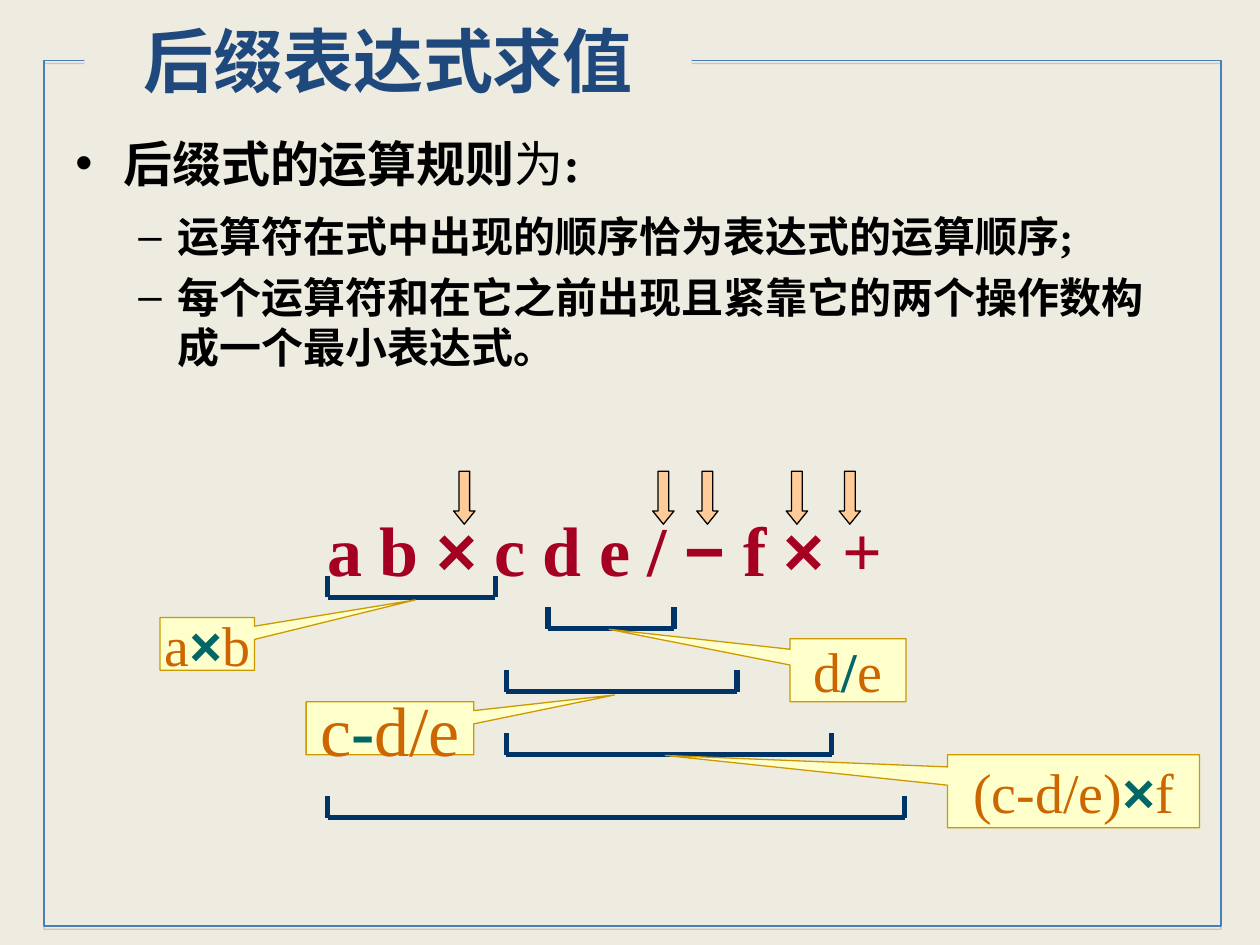
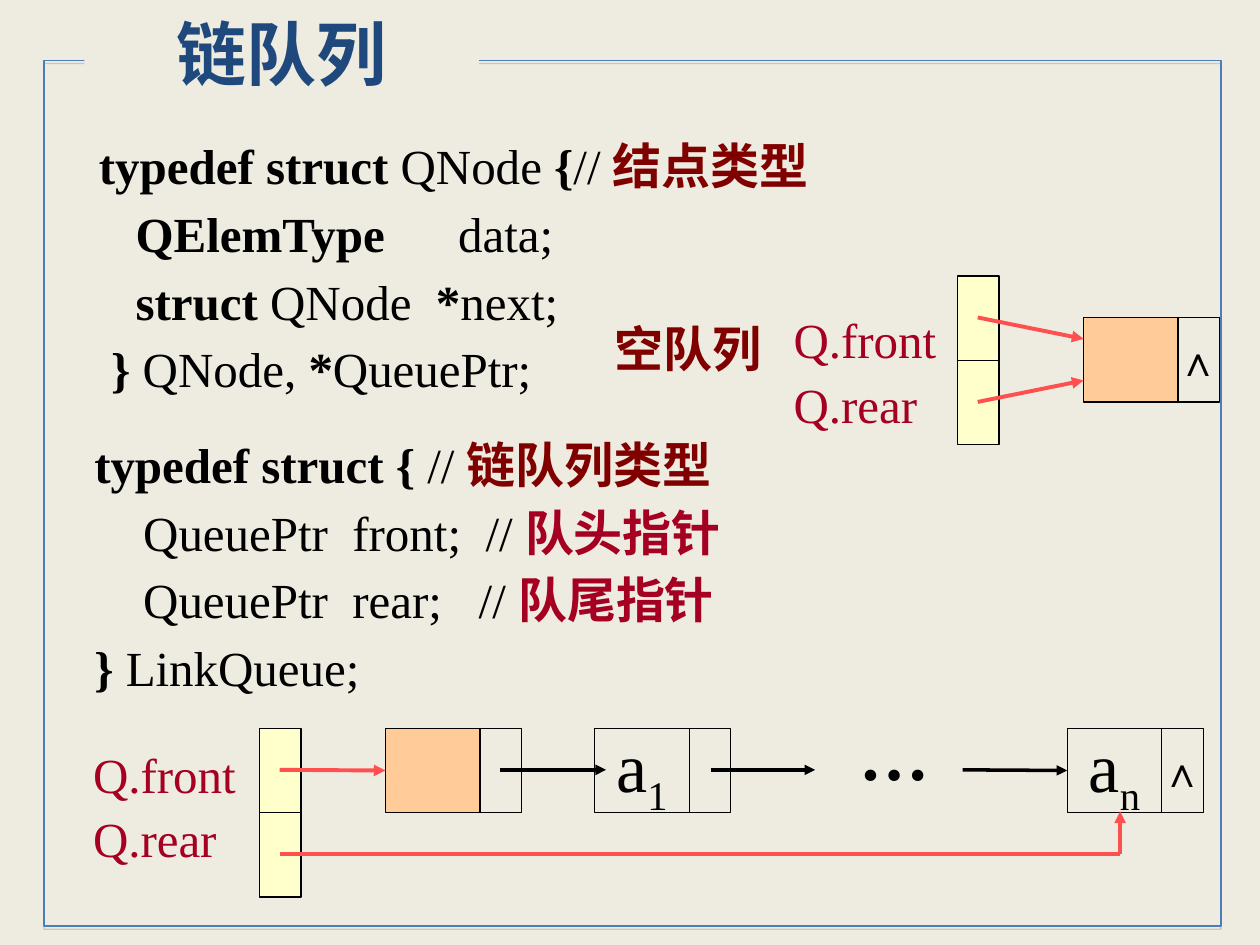
from lxml import etree
from pptx import Presentation
from pptx import util as u
from pptx.dml.color import RGBColor
from pptx.enum import shapes, text
from pptx.oxml import ns

Inches, Pt = u.Inches, u.Pt
SHAPE = shapes.MSO_SHAPE

PAPER = RGBColor(0xEE, 0xEC, 0xE1)
FRAME = RGBColor(0x4A, 0x7E, 0xBB)
TITLE = RGBColor(0x1F, 0x49, 0x7D)
BLACK = RGBColor(0x00, 0x00, 0x00)
CRIMSON = RGBColor(0xA5, 0x00, 0x21)
MAROON = RGBColor(0x80, 0x00, 0x00)
NAVY = RGBColor(0x00, 0x33, 0x66)
CREAM = RGBColor(0xFF, 0xFF, 0xCC)
GOLD = RGBColor(0xCC, 0x99, 0x00)
ORANGE = RGBColor(0xCC, 0x66, 0x00)
TEAL = RGBColor(0x00, 0x66, 0x66)
PEACH = RGBColor(0xFF, 0xCC, 0x99)
RED = RGBColor(0xFF, 0x50, 0x50)

SERIF, SANS, CJK = "Times New Roman", "Arial", "Noto Sans CJK SC"
BOLD = {"bold": True}
SYMBOL = {"name": SANS}
OPERATOR = {"bold": True, "color": TEAL}
TIMES = {**OPERATOR, "name": SANS}
NOTE = {"bold": True, "color": MAROON}
POINTER_NOTE = {"bold": True, "color": CRIMSON}


def add_xml(parent, tag, **attrs):
    return etree.SubElement(parent, ns.qn(tag), **attrs)


class Deck:
    """The presentation, its style and the slide being filled."""

    def __init__(self):
        self.prs = Presentation()
        self.prs.slide_width, self.prs.slide_height = Inches(10), Inches(7.5)
        fill = self.prs.slide_master.background.fill
        fill.solid()
        fill.fore_color.rgb = PAPER

    def slide(self, title, width, height):
        """Start a slide whose title interrupts the frame around it."""
        self.s = self.prs.slides.add_slide(self.prs.slide_layouts[5])
        frame = self.shape(SHAPE.RECTANGLE, 0.35, 0.48, 9.34, 6.87, line=FRAME)
        effects = frame._element.spPr.find(ns.qn("a:effectLst"))
        shadow = add_xml(effects, "a:outerShdw", blurRad="0", dist="22860", dir="5400000")
        color = add_xml(shadow, "a:srgbClr", val="808080")
        add_xml(color, "a:alpha", val="35000")
        self.s.shapes._spTree.insert(2, frame._element)

        sp = self.s.shapes.title
        self.place(sp, 0.67, 0.03, width, height)
        sp.fill.solid()
        sp.fill.fore_color.rgb = PAPER
        sp.text_frame.auto_size = text.MSO_AUTO_SIZE.SHAPE_TO_FIT_TEXT
        self.fill_text(sp.text_frame, [title], 40, TITLE, align=text.PP_ALIGN.CENTER, bold=True)

    @staticmethod
    def place(sp, *box):
        for name, value in zip(("left", "top", "width", "height"), box):
            setattr(sp, name, Inches(value))

    @staticmethod
    def run(p, content, fmt):
        r = p.add_run()
        r.text = content
        for name, value in fmt.items():
            if name == "color":
                r.font.color.rgb = value
            elif name == "baseline":
                r.font._element.set("baseline", value)
            else:
                setattr(r.font, name, value)
        add_xml(r.font._element, "a:ea", typeface=CJK)

    def fill_text(self, tf, paragraphs, size, color, align=None, spacing=None, **fmt):
        """Fill a frame; a paragraph is a string or a list of strings and (string, format)."""
        base = {"size": Pt(size), "color": color, "name": SERIF, **fmt}
        for i, runs in enumerate(paragraphs):
            p = tf.add_paragraph() if i else tf.paragraphs[0]
            p.alignment, p.line_spacing = align, spacing
            for item in [runs] if isinstance(runs, str) else runs:
                content, extra = (item, {}) if isinstance(item, str) else item
                self.run(p, content, {**base, **extra})

    def text(self, x, y, w, h, paragraphs, size, color=BLACK, **fmt):
        tf = self.s.shapes.add_textbox(*map(Inches, (x, y, w, h))).text_frame
        tf.word_wrap = True
        self.fill_text(tf, paragraphs, size, color, **fmt)
        return tf

    def bullet(self, p, mark, level, left, hanging, before):
        p.level = level
        pPr = p._p.get_or_add_pPr()
        pPr.set("marL", str(Inches(left)))
        pPr.set("indent", str(-Inches(hanging)))
        p.space_before = Pt(before)
        add_xml(add_xml(pPr, "a:buClr"), "a:srgbClr", val=str(BLACK))
        add_xml(pPr, "a:buFont", typeface=SANS)
        add_xml(pPr, "a:buChar", char=mark)

    def shape(self, kind, x, y, w, h, fill=None, line=BLACK, adjust=()):
        sp = self.s.shapes.add_shape(kind, *map(Inches, (x, y, w, h)))
        sp.shadow.inherit = False
        if fill is None:
            sp.fill.background()
        else:
            sp.fill.solid()
            sp.fill.fore_color.rgb = fill
        sp.line.color.rgb, sp.line.width = line, Pt(0.75)
        for i, value in enumerate(adjust):
            sp.adjustments[i] = value
        return sp

    def label(self, sp, runs, size, color=BLACK):
        tf = sp.text_frame
        tf.word_wrap = False
        tf.vertical_anchor = text.MSO_ANCHOR.MIDDLE
        self.fill_text(tf, [runs], size, color, align=text.PP_ALIGN.CENTER)

    def line(self, start, end, color, width, arrow=False, target=None):
        """Draw a straight line; a target is joined at the middle of its left side."""
        c = self.s.shapes.add_connector(
            shapes.MSO_CONNECTOR.STRAIGHT, *map(Inches, (*start, *end)))
        c.line.color.rgb, c.line.width = color, Pt(width)
        if arrow:
            add_xml(c._element.spPr.find(ns.qn("a:ln")), "a:tailEnd", type="triangle")
        add_xml(c._element.spPr, "a:effectLst")
        if target is not None:
            c.end_connect(target, 1)

    def bracket(self, left, right, y):
        for start, end in (((left, y), (right, y)),
                           ((left, y - 0.17), (left, y)),
                           ((right, y - 0.17), (right, y))):
            self.line(start, end, NAVY, 3)

    def callout(self, box, tip, runs, size=32):
        sp = self.shape(SHAPE.RECTANGULAR_CALLOUT, *box, fill=CREAM, line=GOLD, adjust=tip)
        self.label(sp, runs, size, ORANGE)

    def queue_pointers(self, x, y):
        """Draw the front cell above the rear cell."""
        for i in range(2):
            self.shape(SHAPE.RECTANGLE, x, y + i * 0.67, 0.33, 0.67, fill=CREAM)

    def node(self, x, y, fill=None, data=None, last=False):
        """Draw a data cell with its next cell; return the data cell."""
        link = self.shape(SHAPE.RECTANGLE, x + 0.75, y, 0.33, 0.67)
        cell = self.shape(SHAPE.RECTANGLE, x, y, 0.75, 0.67, fill=fill)
        if data:
            self.label(cell, ["a", (data, {"baseline": "-25000"})], 40)
        if last:
            self.label(link, "∧", 24)
        return cell


def postfix_slide(deck):
    deck.slide("后缀表达式求值", 4.82, 0.89)
    rules = [
        ["后缀式的运算规则", ("为", {"bold": False}), ":"],
        [("运算符在式中出现的顺序恰为表达式的运算顺序;", {"size": Pt(24)})],
        [("每个运算符和在它之前出现且紧靠它的两个操作数构成一个最小表达式。", {"size": Pt(24)})],
    ]
    tf = deck.text(0.5, 0.94, 9, 2.11, rules, 28, spacing=1.15, bold=True)
    first, *rest = tf.paragraphs
    deck.bullet(first, "•", 0, 0.38, 0.38, 0)
    for p in rest:
        deck.bullet(p, "–", 1, 0.81, 0.31, 6)
    rest[-1].line_spacing = 1.0

    expression = ["a b ", ("×", SYMBOL), " c d e / ", ("−", SYMBOL), " f ", ("×", SYMBOL), " +"]
    deck.text(2.5, 3.97, 5, 0.74, [expression], 40, CRIMSON, bold=True)

    for left, right, y in ((2.6, 3.93, 4.74), (4.35, 5.35, 4.99), (4.02, 5.85, 5.49),
                           (4.02, 6.6, 5.99), (2.6, 7.18, 6.49)):
        deck.bracket(left, right, y)

    deck.callout((1.27, 4.9, 0.75, 0.42), (2.2, -0.83), ["a", ("×", TIMES), "b"])
    deck.callout((6.27, 5.07, 0.92, 0.5), (-2.06, -0.65), ["d", ("/", OPERATOR), "e"])
    deck.callout((2.43, 5.57, 1.33, 0.42), (1.34, -0.63), ["c", ("-", OPERATOR), "d/e"], 40)
    deck.callout((7.52, 5.99, 2, 0.58), (-1.62, -0.49), ["(c-d/e)", ("×", TIMES), "f"])

    for x in (3.6, 5.18, 5.53, 6.24, 6.66):
        deck.shape(SHAPE.DOWN_ARROW, x, 3.74, 0.17, 0.42, fill=PEACH, adjust=(0.5, 0.62))


def linked_queue_slide(deck):
    deck.slide("链队列", 3.13, 0.78)
    node_type = [
        [" ", ("typedef struct ", BOLD), "QNode ", ("{", BOLD), "// ", ("结点类型", NOTE)],
        ["    ", ("QElemType", BOLD), "      data;"],
        ["    ", ("struct ", BOLD), "QNode  ", ("*", BOLD), "next;"],
        ["  ", ("}", BOLD), " QNode, ", ("*", BOLD), "QueuePtr;"],
    ]
    queue_type = [
        [("typedef struct { ", BOLD), "// ", ("链队列类型", NOTE)],
        ["    QueuePtr  front;  // ", ("队头指针", POINTER_NOTE)],
        ["    QueuePtr  rear;   // ", ("队尾指针", POINTER_NOTE)],
        [("}", BOLD), " LinkQueue;"],
    ]
    deck.text(0.59, 0.96, 6.3, 2.25, node_type, 28, spacing=1.15)
    deck.text(0.65, 3.33, 5.6, 2.25, queue_type, 28, spacing=1.15)

    top, middle = 5.78, 6.11
    deck.queue_pointers(2.06, top)
    head = deck.node(3.06, top, fill=PEACH)
    deck.node(4.72, top, data="1")
    tail = deck.node(8.47, top, data="n", last=True)
    deck.line((2.22, middle), (3.06, middle), RED, 2.25, arrow=True, target=head)
    for start, end, target in ((3.97, 4.81, None), (5.64, 6.47, None), (7.64, 8.47, tail)):
        deck.line((start, middle), (end, middle), BLACK, 2, arrow=True, target=target)
    deck.text(6.72, 5.59, 0.92, 0.77, ["…"], 40, bold=True)
    deck.line((2.22, 6.78), (8.89, 6.78), RED, 2.25)
    deck.line((8.89, 6.78), (8.89, 6.44), RED, 2.25, arrow=True)

    deck.queue_pointers(7.6, 2.19)
    deck.node(8.6, 2.52, fill=PEACH, last=True)
    for start, end in ((2.52, 2.69), (3.19, 3.02)):
        deck.line((7.76, start), (8.6, end), RED, 2.25, arrow=True)
    deck.text(4.78, 2.48, 1.43, 0.57, ["空队列"], 28, MAROON, name=CJK, bold=True)

    for x, y in ((0.64, 5.81), (6.2, 2.36)):
        deck.text(x, y, 1.4, 1.13, ["Q.front", "Q.rear"], 28, CRIMSON, spacing=1.1)


def main():
    deck = Deck()
    postfix_slide(deck)
    linked_queue_slide(deck)
    deck.prs.save("out.pptx")


if __name__ == "__main__":
    main()
